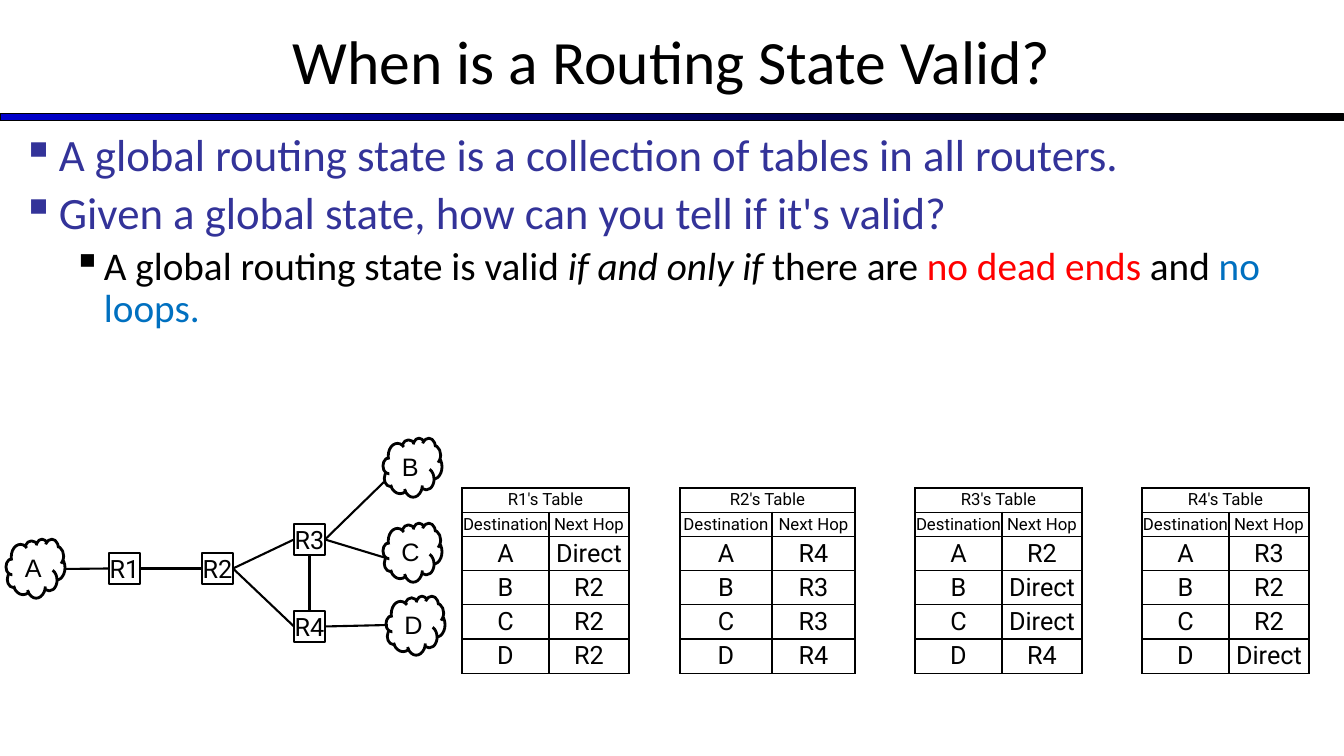
import pptx
import pptx.util
import pptx.oxml
import pptx.oxml.ns
import pptx.dml.color
import pptx.enum.shapes
import pptx.enum.text
import lxml.etree

SCALE = 914400 / 100.8
Pt = pptx.util.Pt
SHAPE = pptx.enum.shapes.MSO_SHAPE
CENTER = pptx.enum.text.PP_ALIGN.CENTER
MIDDLE = pptx.enum.text.MSO_ANCHOR.MIDDLE
TOP, LEFT, BOTTOM, RIGHT = range(4)

COLORS = {
    "black": "000000", "white": "FFFFFF", "blue": "0000CC",
    "indigo": "333399", "red": "FF0000", "sky": "0070C0",
}
BULLETS = [
    # level, size, colour, runs of (text, colour, italic)
    (0, 32, "indigo", [("A global routing state is a collection of tables in all routers.", "indigo", False)]),
    (0, 32, "indigo", [("Given a global state, how can you tell if it's valid?", "indigo", False)]),
    (1, 28, "black", [
        ("A global routing state is valid ", "black", False),
        ("if and only if ", "black", True),
        ("there are ", "black", False),
        ("no dead ends ", "red", False),
        ("and ", "black", False),
        ("no loops.", "sky", False),
    ]),
]
INDENTS = [(37, 37), (82, 31)]
TABLES = [
    # router, left, column widths, next hops for A to D
    ("R1", 462, (87, 80), ("Direct", "R2", "R2", "R2")),
    ("R2", 680, (92, 83), ("R4", "R3", "R3", "R4")),
    ("R3", 915, (87, 80), ("R2", "Direct", "Direct", "R4")),
    ("R4", 1142, (87, 80), ("R3", "R2", "R2", "Direct")),
]
ROUTERS = {"R1": (109, 553), "R2": (202, 553), "R3": (294, 524), "R4": (294, 611)}
CLOUDS = {"A": (6, 539), "B": (383, 438), "C": (383, 523), "D": (386, 596)}
LINKS = [
    ("R1", RIGHT, "R2", LEFT), ("R2", RIGHT, "R3", LEFT),
    ("R2", RIGHT, "R4", LEFT), ("R4", TOP, "R3", BOTTOM),
]
SPURS = [
    ("R1", LEFT, (65, 569)), ("R3", RIGHT, (384, 482)),
    ("R3", RIGHT, (386, 558)), ("R4", RIGHT, (388, 625)),
]


def px(*counts):
    return [round(count * SCALE) for count in counts]


def rgb(name):
    return pptx.dml.color.RGBColor.from_string(COLORS[name])


def apply(target, values):
    for name, value in values.items():
        setattr(target, name, value)


def inset(target, side, end):
    """Set the side and the top and bottom margins of a frame or a cell."""
    (side, end) = px(side, end)
    apply(target, {"margin_left": side, "margin_right": side,
                   "margin_top": end, "margin_bottom": end})


def add_run(para, text, face, size, color="black", italic=False):
    run = para.add_run()
    run.text = text
    apply(run.font, {"name": face, "size": Pt(size), "italic": italic})
    run.font.color.rgb = rgb(color)


def add_label(frame, text, face, size):
    para = frame.paragraphs[0]
    para.alignment = CENTER
    add_run(para, text, face, size)


def set_line(line, width):
    line.color.rgb = rgb("black")
    line.width = Pt(width)


def add_text(slide, *bounds):
    frame = slide.shapes.add_textbox(*px(*bounds)).text_frame
    frame.word_wrap = True
    inset(frame, 10, 5)
    return frame


def add_title(slide):
    frame = add_text(slide, 0, -3, 1344, 126)
    frame.vertical_anchor = MIDDLE
    add_label(frame, "When is a Routing State Valid?", "Calibri", 44)


def add_rule(slide):
    bar = slide.shapes.add_shape(SHAPE.RECTANGLE, *px(0, 114, 1344, 7))
    bar.shadow.inherit = False
    bar.fill.gradient()
    bar.fill.gradient_angle = 0
    for stop, place, color in zip(bar.fill.gradient_stops, (0, 1), ("blue", "black")):
        stop.position = place
        stop.color.rgb = rgb(color)
    set_line(bar.line, 0.75)


def set_bullet(para, level, color):
    props = para._p.get_or_add_pPr()
    margin, hang = px(*INDENTS[level])
    props.set("marL", str(margin))
    props.set("indent", str(-hang))
    tint = lxml.etree.SubElement(props, pptx.oxml.ns.qn("a:buClr"))
    lxml.etree.SubElement(tint, pptx.oxml.ns.qn("a:srgbClr"), val=COLORS[color])
    lxml.etree.SubElement(props, pptx.oxml.ns.qn("a:buChar"), char="▪")


def add_body(slide):
    frame = add_text(slide, 12, 128, 1277, 109)
    for index, (level, size, color, runs) in enumerate(BULLETS):
        para = frame.add_paragraph() if index else frame.paragraphs[0]
        set_bullet(para, level, color)
        apply(para, {"level": level, "line_spacing": 0.9,
                     "space_before": Pt(size * 0.2 if index else 0)})
        for text, tint, italic in runs:
            add_run(para, text, "Calibri", size, tint, italic)


def set_border(cell):
    props = cell._tc.get_or_add_tcPr()
    for edge in ("lnL", "lnR", "lnT", "lnB"):
        props.append(pptx.oxml.parse_xml(
            f'<a:{edge} {pptx.oxml.ns.nsdecls("a")} w="{Pt(1)}"><a:solidFill>'
            f'<a:srgbClr val="{COLORS["black"]}"/></a:solidFill></a:{edge}>'))


def add_table(slide, router, left, widths, hops):
    rows = [(f"{router}'s Table", ""), ("Destination", "Next Hop"), *zip("ABCD", hops)]
    heights = [23] * 2 + [33] * len(hops)
    table = slide.shapes.add_table(
        len(rows), 2, *px(left, 488, sum(widths), sum(heights))).table
    apply(table, {"first_row": False, "horz_banding": False})
    for column, width in zip(table.columns, px(*widths)):
        column.width = width
    for row, height in zip(table.rows, px(*heights)):
        row.height = height
    table.cell(0, 0).merge(table.cell(0, 1))
    for r, texts in enumerate(rows):
        for c, text in enumerate(texts):
            cell = table.cell(r, c)
            inset(cell, 0, 2)
            cell.vertical_anchor = MIDDLE
            set_border(cell)
            cell.fill.background()
            if text:
                add_label(cell.text_frame, text, "Roboto", 12 if r < 2 else 18)


def add_node(slide, kind, name, spot, side, face, width):
    node = slide.shapes.add_shape(kind, *px(*spot, side, side))
    node.shadow.inherit = False
    if kind == SHAPE.RECTANGLE:
        node.fill.solid()
        node.fill.fore_color.rgb = rgb("white")
    else:
        node.fill.background()
    set_line(node.line, width)
    frame = node.text_frame
    inset(frame, 0, 0)
    apply(frame, {"word_wrap": False, "vertical_anchor": MIDDLE})
    add_label(frame, name, face, 18)
    return node


def add_link(slide, start, side, spot=(0, 0)):
    """Draw a line from a side of a router to a spot."""
    link = slide.shapes.add_connector(
        pptx.enum.shapes.MSO_CONNECTOR.STRAIGHT, *px(*spot, *spot))
    link.begin_connect(start, side)
    set_line(link.line, 1.5)
    lxml.etree.SubElement(link._element.spPr, pptx.oxml.ns.qn("a:effectLst"))
    return link


def add_graph(slide):
    nodes = {name: add_node(slide, SHAPE.RECTANGLE, name, spot, 31, "Roboto", 1.5)
             for name, spot in ROUTERS.items()}
    for start, side, end, face in LINKS:
        add_link(slide, nodes[start], side).end_connect(nodes[end], face)
    for start, side, spot in SPURS:
        add_link(slide, nodes[start], side, spot)
    for name, spot in CLOUDS.items():
        add_node(slide, SHAPE.CLOUD, name, spot, 59, "Arial", 2)


def main():
    deck = pptx.Presentation()
    deck.slide_width, deck.slide_height = px(1344, 756)
    slide = deck.slides.add_slide(deck.slide_layouts[6])
    add_rule(slide)
    add_body(slide)
    add_title(slide)
    for entry in TABLES:
        add_table(slide, *entry)
    add_graph(slide)
    deck.save("out.pptx")


if __name__ == "__main__":
    main()
